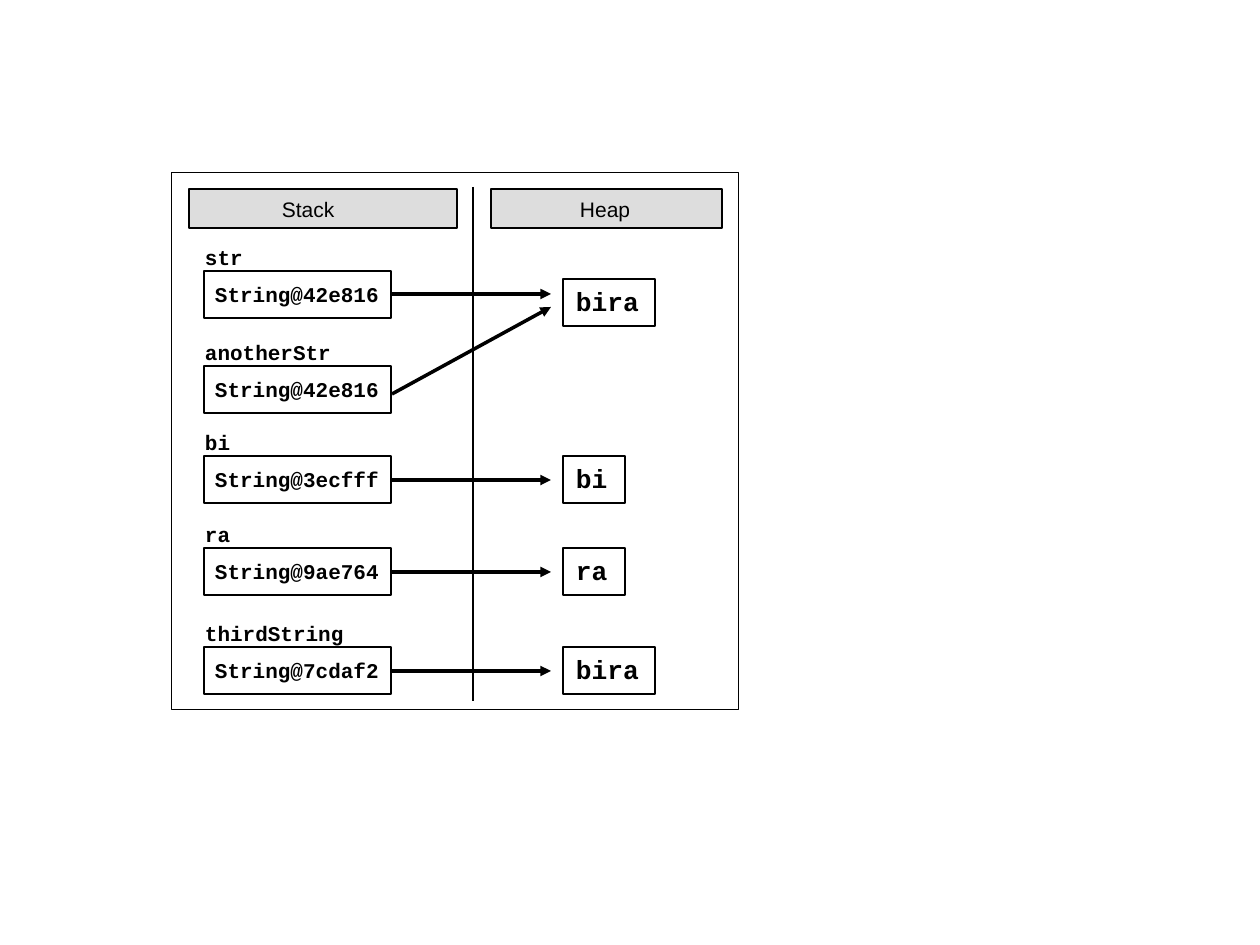
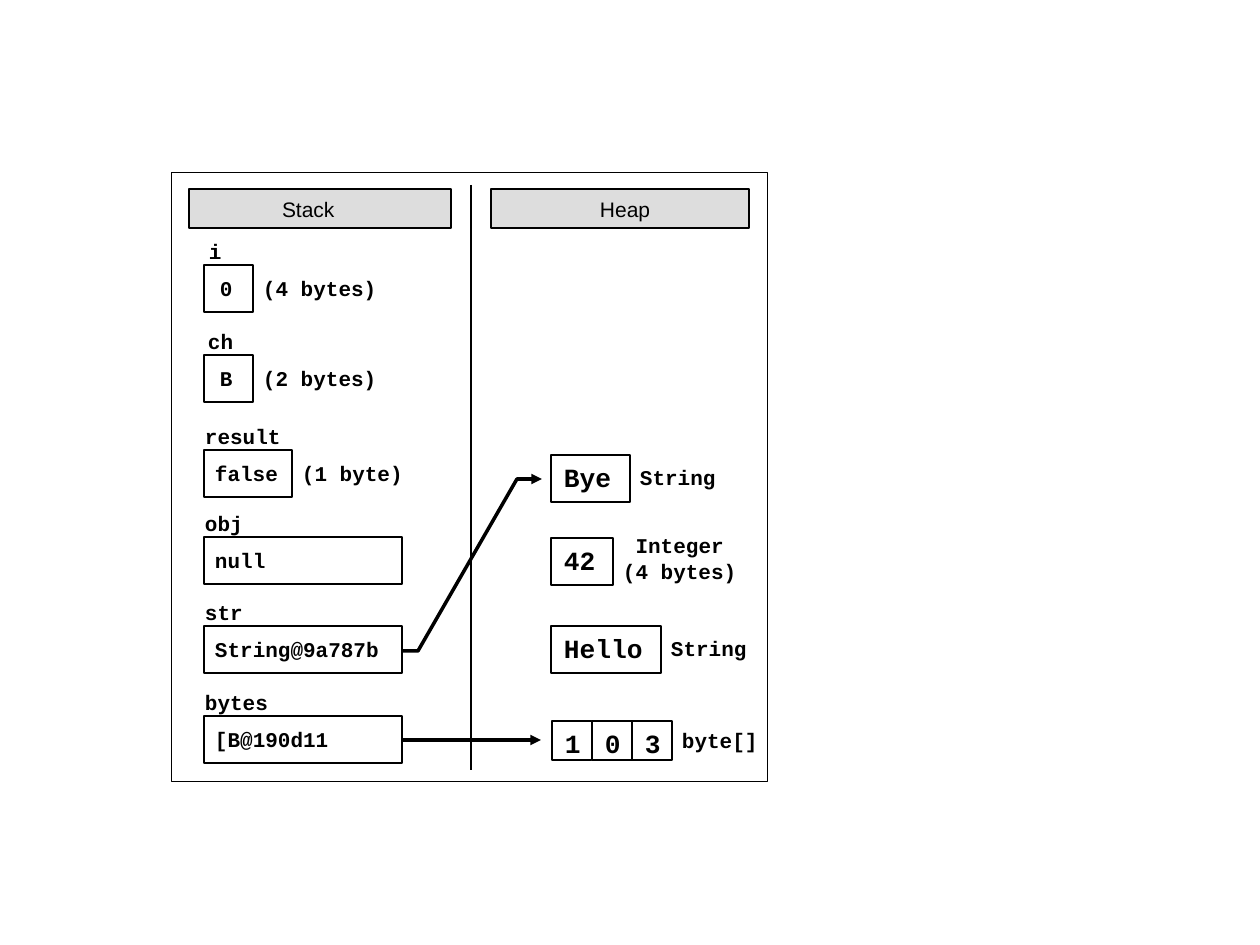
from pptx import Presentation
from pptx.dml.color import RGBColor
from pptx.enum.shapes import MSO_CONNECTOR, MSO_SHAPE
from pptx.enum.text import MSO_ANCHOR, PP_ALIGN
from pptx.oxml.ns import qn
from pptx.util import Emu, Pt
from lxml import etree

# Shared scale and style
PIXEL = 914400 // 126
BLACK, WHITE, GREY = "000000", "FFFFFF", "DDDDDD"
CODE_FONT, HEADER_FONT = "Courier New", "Arial"
THIN, NORMAL, THICK = 0.51, 0.74, 2.01
SMALL, LARGE = 12, 15
CHARACTER_WIDTH = 12.6
LINE_HEIGHT = 25
BOX_HEIGHT = 47
STACK_LEFT = 204


def px(value):
    return Emu(round(value * PIXEL))


def color(hex_string):
    return RGBColor.from_string(hex_string)


def set_line(shape, width):
    shape.line.color.rgb = color(BLACK)
    shape.line.width = Pt(width)


def add_arrowhead(shape):
    line = shape.line._get_or_add_ln()
    etree.SubElement(line, qn("a:tailEnd"), type="triangle")


def set_text(shape, text, size, font, bold, insets=(0, 0), align=PP_ALIGN.LEFT):
    frame = shape.text_frame
    frame.margin_left, frame.margin_top = px(insets[0]), px(insets[1])
    frame.margin_right = frame.margin_bottom = 0
    frame.vertical_anchor = MSO_ANCHOR.TOP
    frame.text = text
    for paragraph in frame.paragraphs:
        paragraph.alignment = align
        for run in paragraph.runs:
            run.font.size = Pt(size)
            run.font.name = font
            run.font.bold = bold
            run.font.color.rgb = color(BLACK)


def add_box(slide, left, top, width, height, fill=None, line=NORMAL):
    shape = slide.shapes.add_shape(
        MSO_SHAPE.RECTANGLE, px(left), px(top), px(width), px(height))
    shape.shadow.inherit = False
    if fill:
        shape.fill.solid()
        shape.fill.fore_color.rgb = color(fill)
    else:
        shape.fill.background()
    set_line(shape, line)
    shape.text_frame.word_wrap = True
    return shape


def add_label(slide, text, left, top):
    """Bold code text with no frame; its size follows from its characters."""
    lines = text.split("\n")
    width = max(len(line) for line in lines) * CHARACTER_WIDTH
    shape = slide.shapes.add_textbox(
        px(left), px(top), px(width), px(LINE_HEIGHT * len(lines)))
    shape.text_frame.word_wrap = False
    align = PP_ALIGN.CENTER if len(lines) > 1 else PP_ALIGN.LEFT
    set_text(shape, text, SMALL, CODE_FONT, True, align=align)


def add_line(slide, start, end, width, arrow=False):
    connector = slide.shapes.add_connector(
        MSO_CONNECTOR.STRAIGHT, *map(px, start + end))
    set_line(connector, width)
    if arrow:
        add_arrowhead(connector)
    etree.SubElement(connector._element.spPr, qn("a:effectLst"))


def add_bent_arrow(slide, points):
    points = [(px(x), px(y)) for x, y in points]
    builder = slide.shapes.build_freeform(*points[0])
    builder.add_line_segments(points[1:], close=False)
    shape = builder.convert_to_shape()
    shape.shadow.inherit = False
    shape.fill.background()
    set_line(shape, THICK)
    add_arrowhead(shape)


def add_header(slide, text, left, width, text_inset):
    shape = add_box(slide, left, 189, width, 39, fill=GREY)
    set_text(shape, text, SMALL, HEADER_FONT, False, (text_inset, 8))


def add_memory_panel(slide, width, height, divider, stack_width, heap_width,
                     heap_inset):
    """Frame, divider and the two column headers."""
    x, top, bottom = divider
    add_line(slide, (x, top), (x, bottom), NORMAL)
    add_box(slide, 172, 172, width, height, line=THIN)
    add_header(slide, "Stack", 189, stack_width, 93)
    add_header(slide, "Heap", 491, heap_width, heap_inset)


def add_variable(slide, name, value, top, width, name_left=205, inset=11,
                 note=None):
    add_label(slide, name, name_left, top - 26)
    shape = add_box(slide, STACK_LEFT, top, width, BOX_HEIGHT, fill=WHITE)
    set_text(shape, value, SMALL, CODE_FONT, True, (inset, 11))
    if note:
        add_label(slide, note, STACK_LEFT + width + 10, top + 11)


def add_heap_value(slide, text, left, top, width, height=BOX_HEIGHT):
    shape = add_box(slide, left, top, width, height)
    set_text(shape, text, LARGE, CODE_FONT, True, (13, 6))


def build_string_references(slide):
    add_memory_panel(slide, 567, 538, (473, 187, 701), 268, 231, 89)

    # Variables on the stack
    variables = [
        ("str", "String@42e816", 271), ("anotherStr", "String@42e816", 366),
        ("bi", "String@3ecfff", 456), ("ra", "String@9ae764", 548),
        ("thirdString", "String@7cdaf2", 647)]
    for name, value, top in variables:
        add_variable(slide, name, value, top, 187)

    # Strings on the heap, with the arrows that reach them
    for text, top, width in [("bira", 279, 92), ("bi", 456, 62),
                             ("ra", 548, 62), ("bira", 647, 92)]:
        add_heap_value(slide, text, 563, top, width)
    for y in (294, 480, 572, 671):
        add_line(slide, (391, y), (551, y), THICK, arrow=True)
    add_line(slide, (392, 394), (551, 307), THICK, arrow=True)


def build_value_types(slide):
    add_memory_panel(slide, 596, 610, (471, 185, 770), 262, 258, 109)

    # Variables on the stack
    add_variable(slide, "i", "0", 265, 49, 209, 16, "(4 bytes)")
    add_variable(slide, "ch", "B", 355, 49, 208, 16, "(2 bytes)")
    add_variable(slide, "result", "false", 450, 88, note="(1 byte)")
    for name, value, top in [("obj", "null", 537), ("str", "String@9a787b", 626),
                             ("bytes", "[B@190d11", 716)]:
        add_variable(slide, name, value, top, 198)

    # Objects on the heap with their types
    for text, kind, top, width, note_offset in [
            ("Bye", "String", 455, 79, 10),
            ("42", "Integer\n(4 bytes)", 538, 62, -5),
            ("Hello", "String", 626, 110, 10)]:
        add_heap_value(slide, text, 551, top, width)
        add_label(slide, kind, 551 + width + 10, top + note_offset)

    # Byte array
    cell = 40
    for index, digit in enumerate("103"):
        add_heap_value(slide, digit, 552 + index * cell, 721, cell, 39)
    add_label(slide, "byte[]", 682, 728)

    # References
    add_bent_arrow(slide, [(402, 651), (418, 651), (517, 479), (542, 479)])
    add_line(slide, (402, 740), (541, 740), THICK, arrow=True)


def main():
    presentation = Presentation()
    presentation.slide_width, presentation.slide_height = px(1260), px(945)
    blank_layout = presentation.slide_layouts[6]
    for build in (build_string_references, build_value_types):
        build(presentation.slides.add_slide(blank_layout))
    presentation.save("out.pptx")


main()
